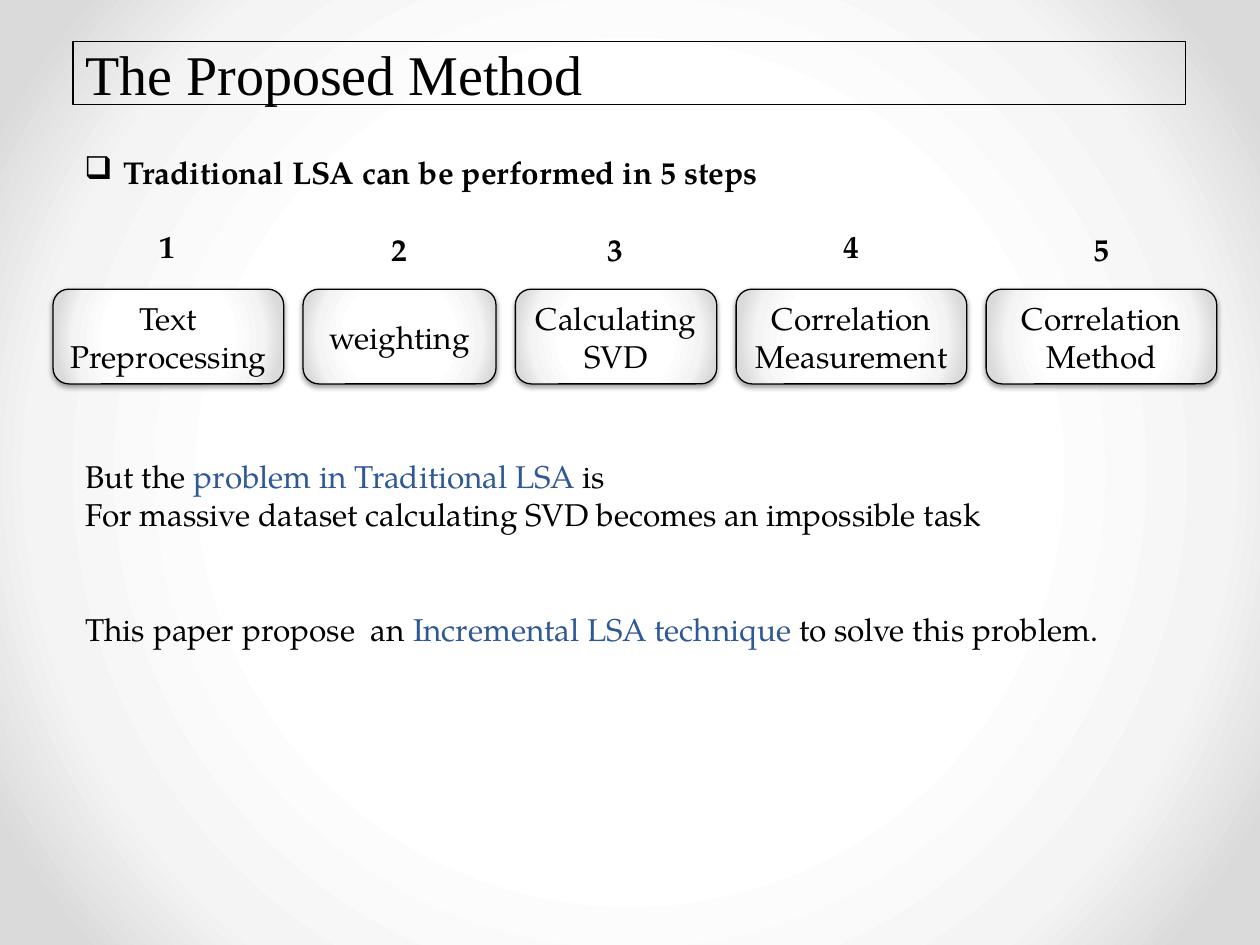
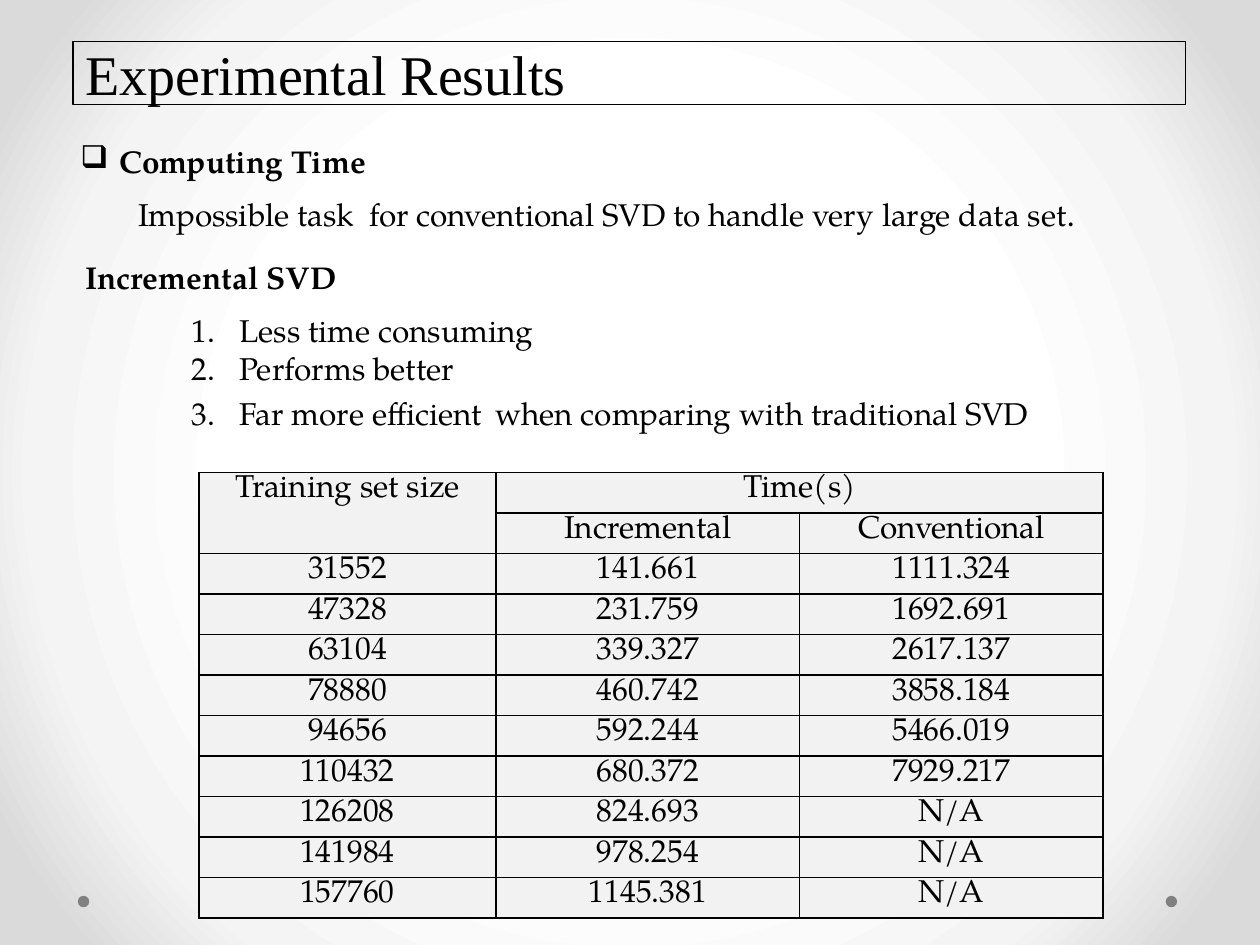
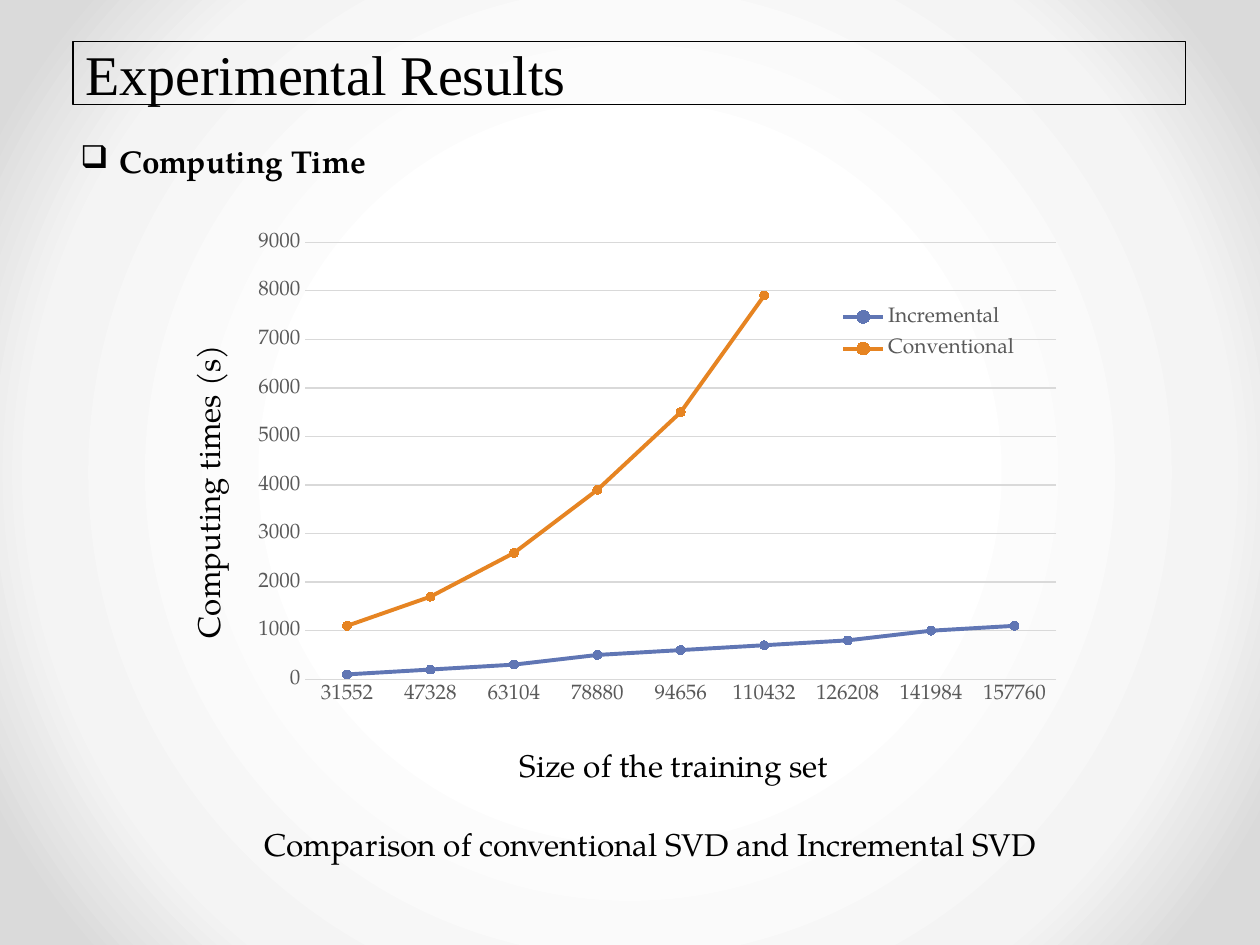
from lxml.etree import SubElement
from pptx import Presentation
from pptx.chart.data import CategoryChartData
from pptx.dml.color import RGBColor
from pptx.enum.chart import XL_CHART_TYPE as ChartType, XL_LEGEND_POSITION as LegendSide
from pptx.enum.chart import XL_MARKER_STYLE as Marker, XL_TICK_MARK as Tick
from pptx.enum.shapes import MSO_SHAPE as Preset
from pptx.enum.text import MSO_ANCHOR as Anchor, MSO_AUTO_SIZE as AutoSize, PP_ALIGN as Align
from pptx.oxml.ns import qn
from pptx.util import Cm, Pt

BLACK = RGBColor(0x00, 0x00, 0x00)
BLUE = RGBColor(0x2F, 0x58, 0x97)
GREY = RGBColor(0x80, 0x80, 0x80)
CELL_GREY = RGBColor(0xF2, 0xF2, 0xF2)
AXIS_TEXT = RGBColor(0x59, 0x59, 0x59)
GRID = RGBColor(0xD9, 0xD9, 0xD9)
SERIES_COLORS = [RGBColor(0x60, 0x76, 0xB4), RGBColor(0xE6, 0x84, 0x22)]

BODY_FONT = "TeX Gyre Pagella"
TITLE_FONT = "Times New Roman"
BULLET = {"tag": "a:buChar", "char": "❑"}

SIZES = [31552, 47328, 63104, 78880, 94656, 110432, 126208, 141984, 157760]
INCREMENTAL = [141.661, 231.759, 339.327, 460.742, 592.244, 680.372, 824.693, 978.254, 1145.381]
CONVENTIONAL = [1111.324, 1692.691, 2617.137, 3858.184, 5466.019, 7929.217, None, None, None]


def radial_fill(owner, fill, white_until=50):
    fill.gradient()
    gradient = owner.element.find(".//" + qn("a:gradFill"))
    for child in list(gradient):
        gradient.remove(child)
    stops = SubElement(gradient, qn("a:gsLst"))
    for position, color in ((white_until, "FFFFFF"), (76, "F4F4F4"), (92, "DADADA")):
        stop = SubElement(stops, qn("a:gs"), pos=str(position * 1000))
        SubElement(stop, qn("a:srgbClr"), val=color)
    circle = SubElement(gradient, qn("a:path"), path="circle")
    SubElement(circle, qn("a:fillToRect"), l="50000", t="50000", r="50000", b="50000")


def soft_shadow(shape):
    shape.shadow.inherit = False
    effects = shape.element.spPr.find(qn("a:effectLst"))
    shadow = SubElement(effects, qn("a:outerShdw"), blurRad="40000", dist="20000",
                        dir="5400000", rotWithShape="0")
    color = SubElement(shadow, qn("a:srgbClr"), val="000000")
    SubElement(color, qn("a:alpha"), val="38000")


def add_bullet(para, indent, tag, **attributes):
    properties = para._p.get_or_add_pPr()
    properties.set("marL", str(Cm(indent)))
    properties.set("indent", str(-Cm(indent)))
    SubElement(properties, qn(tag), **attributes)


def add_borders(cell):
    properties = cell._tc.get_or_add_tcPr()
    for index, side in enumerate(("a:lnL", "a:lnR", "a:lnT", "a:lnB")):
        border = SubElement(properties, qn(side), w=str(Pt(1)))
        fill = SubElement(border, qn("a:solidFill"))
        SubElement(fill, qn("a:srgbClr"), val="000000")
        properties.insert(index, border)


def place(part, index, x, y, width=None, height=None, inner=False):
    previous = part.find(qn("c:layout"))
    if previous is not None:
        part.remove(previous)
    layout = SubElement(part, qn("c:layout"))
    part.insert(index, layout)
    manual = SubElement(layout, qn("c:manualLayout"))
    settings = [("layoutTarget", "inner")] if inner else []
    settings += [("xMode", "edge"), ("yMode", "edge"), ("x", x), ("y", y)]
    if width:
        settings += [("w", width), ("h", height)]
    for name, value in settings:
        SubElement(manual, qn("c:" + name), val=str(value))


class SlideBuilder:
    def __init__(self):
        self.deck = Presentation()
        self.deck.slide_width = Cm(25.4)
        self.deck.slide_height = Cm(19.05)
        self.page = None

    def style(self, font, size=18, color=BLACK, bold=False, name=BODY_FONT):
        font.name = name
        font.size = Pt(size)
        font.bold = bold
        font.color.rgb = color

    def style_frame(self, frame, **look):
        for para in frame.paragraphs:
            for span in para.runs:
                self.style(span.font, **look)

    def new_page(self, title, white_until=50):
        self.page = self.deck.slides.add_slide(self.deck.slide_layouts[6])
        radial_fill(self.page, self.page.background.fill, white_until)
        box = self.page.shapes.add_textbox(Cm(1.47), Cm(0.84), Cm(22.43), Cm(1.27))
        box.line.color.rgb = BLACK
        box.line.width = Pt(1)
        frame = box.text_frame
        frame.word_wrap = True
        frame.vertical_anchor = Anchor.MIDDLE
        frame.text = title
        self.style_frame(frame, size=32, name=TITLE_FONT)

    def text(self, words, left, top, width, height=1.02, bold=False, wrap=False,
             bullet=None, indent=0.97):
        box = self.page.shapes.add_textbox(Cm(left), Cm(top), Cm(width), Cm(height))
        frame = box.text_frame
        frame.word_wrap = wrap
        frame.auto_size = AutoSize.SHAPE_TO_FIT_TEXT
        frame.text = words
        self.style_frame(frame, bold=bold)
        if bullet:
            for para in frame.paragraphs:
                add_bullet(para, indent, **bullet)
        return frame

    def heading(self, words, left, top, width):
        self.text(words, left, top, width, bold=True, bullet=BULLET, indent=0.79)

    def append(self, para, words, **look):
        span = para.add_run()
        span.text = words
        self.style(span.font, **look)

    def step(self, words, left, top, width):
        box = self.page.shapes.add_shape(Preset.ROUNDED_RECTANGLE, Cm(left), Cm(top),
                                         Cm(width), Cm(1.91))
        radial_fill(box, box.fill)
        box.line.color.rgb = BLACK
        box.line.width = Pt(0.75)
        soft_shadow(box)
        frame = box.text_frame
        frame.text = words
        frame.vertical_anchor = Anchor.MIDDLE
        for para in frame.paragraphs:
            para.alignment = Align.CENTER
        self.style_frame(frame)

    def dot(self, left):
        dot = self.page.shapes.add_shape(Preset.OVAL, Cm(left), Cm(18.06), Cm(0.23), Cm(0.23))
        dot.shadow.inherit = False
        dot.fill.solid()
        dot.fill.fore_color.rgb = GREY
        dot.line.fill.background()

    def table(self, rows, merges, left, top, widths, height):
        table = self.page.shapes.add_table(len(rows), len(widths), Cm(left), Cm(top),
                                           Cm(sum(widths)), Cm(height)).table
        table.first_row = table.horz_banding = False
        for column, width in zip(table.columns, widths):
            column.width = Cm(width)
        for row, values in enumerate(rows):
            for column, value in enumerate(values):
                self.fill_cell(table.cell(row, column), value)
        for first, last in merges:
            table.cell(*first).merge(table.cell(*last))

    def fill_cell(self, cell, value):
        cell.fill.solid()
        cell.fill.fore_color.rgb = CELL_GREY
        cell.margin_left = cell.margin_right = Cm(0.18)
        cell.margin_top = cell.margin_bottom = 0
        add_borders(cell)
        if value:
            para = cell.text_frame.paragraphs[0]
            para.text = value
            para.alignment = Align.CENTER
            para.line_spacing = 1.07
            self.style_frame(cell.text_frame)

    def axis_title(self, axis, words, x, y, rotation=0):
        frame = axis.axis_title.text_frame
        frame.text = words
        self.style_frame(frame)
        title = axis.axis_title._element
        body = title.find(".//" + qn("a:bodyPr"))
        body.set("rot", str(rotation * 60000))
        body.set("vert", "horz")
        place(title, 1, x, y)

    def line_chart(self, categories, series, left, top, width, height):
        data = CategoryChartData()
        data.categories = categories
        for name, values in series.items():
            data.add_series(name, values)
        chart = self.page.shapes.add_chart(ChartType.LINE_MARKERS, Cm(left), Cm(top),
                                           Cm(width), Cm(height), data).chart
        self.style(chart.font, size=10)
        chart.has_title = False
        chart.plots[0].vary_by_categories = False
        place(chart.plots[0]._element.getparent(), 0, 0.136, 0.036, 0.842, 0.767, inner=True)
        for line, color in zip(chart.plots[0].series, SERIES_COLORS):
            line.smooth = False
            line.format.line.color.rgb = color
            line.format.line.width = Pt(2.25)
            line.marker.style = Marker.CIRCLE
            line.marker.size = 5
            line.marker.format.fill.solid()
            line.marker.format.fill.fore_color.rgb = color
            line.marker.format.line.color.rgb = color
        for axis in (chart.category_axis, chart.value_axis):
            axis.major_tick_mark = axis.minor_tick_mark = Tick.NONE
            self.style(axis.tick_labels.font, size=12, color=AXIS_TEXT)
        values_axis = chart.value_axis
        values_axis.minimum_scale, values_axis.maximum_scale = 0, 9000
        values_axis.major_unit = 1000
        values_axis.format.line.fill.background()
        for rule in (chart.category_axis.format.line, values_axis.major_gridlines.format.line):
            rule.color.rgb = GRID
            rule.width = Pt(0.75)
        self.axis_title(chart.category_axis, "Size of the training set", 0.37, 0.92)
        self.axis_title(values_axis, "Computing times (s)", 0.005, 0.21, rotation=-90)
        chart.has_legend = True
        chart.legend.position = LegendSide.RIGHT
        chart.legend.include_in_layout = False
        self.style(chart.legend.font, size=12, color=AXIS_TEXT)
        place(chart.legend._element, 1, 0.73, 0.13, 0.21, 0.13)


def build_method(builder):
    builder.new_page("The Proposed Method")
    builder.heading("Traditional LSA can be performed in 5 steps", 1.45, 2.97, 14.68)
    steps = [("Text Preprocessing", 4.65, 4.45), ("weighting", 3.89, 4.52),
             ("Calculating SVD", 4.06, 4.52), ("Correlation Measurement", 4.65, 4.45),
             ("Correlation\nMethod", 4.65, 4.52)]
    left, gap, number_width = 1.07, 0.39, 0.84
    for number, (words, width, number_top) in enumerate(steps, 1):
        builder.step(words, left, 5.83, width)
        builder.text(str(number), left + (width - number_width) / 2, number_top,
                     number_width, bold=True)
        left += width + gap
    frame = builder.text(
        "But the \nFor massive dataset calculating SVD becomes an impossible task\n"
        "This paper propose  an ", 1.47, 9.09, 21.18, 4.11)
    problem, _, proposal = frame.paragraphs
    builder.append(problem, "problem in Traditional LSA ", color=BLUE)
    builder.append(problem, "is")
    builder.append(proposal, "Incremental LSA technique ", color=BLUE)
    builder.append(proposal, "to solve this problem.")
    proposal.space_before = Pt(44)


def build_times_table(builder):
    builder.new_page("Experimental Results")
    for left in (1.57, 23.5):
        builder.dot(left)
    builder.heading("Computing Time", 1.37, 2.74, 6.32)
    builder.text("Impossible task", 2.54, 3.81, 5.11)
    frame = builder.text("for conventional SVD to handle very large data set",
                         7.19, 3.81, 18.2, wrap=True)
    builder.append(frame.paragraphs[0], ".", name="Calibri")
    builder.text("Incremental SVD", 1.47, 5.08, 5.61, bold=True)
    numbered = {"tag": "a:buAutoNum", "type": "arabicPeriod"}
    builder.text("Less time consuming\nPerforms better", 3.61, 6.15, 7.47, 1.8, bullet=numbered)
    builder.text("Far more efficient", 3.61, 7.82, 6.65, bullet={**numbered, "startAt": "3"})
    builder.text("when comparing with traditional SVD", 9.73, 7.82, 11.43)
    rows = [["Training set size", "Time(s)", ""], ["", "Incremental", "Conventional"]]
    for size, fast, slow in zip(SIZES, INCREMENTAL, CONVENTIONAL):
        rows.append([str(size), f"{fast:.3f}", f"{slow:.3f}" if slow else "N/A"])
    builder.table(rows, [((0, 0), (1, 0)), ((0, 1), (0, 2))], 4.01, 9.53,
                  [5.99, 6.12, 6.12], 8.97)


def build_times_chart(builder):
    builder.new_page("Experimental Results", white_until=40)
    builder.heading("Computing Time", 1.37, 2.74, 6.32)
    series = {name: [round(value, -2) if value else None for value in values]
              for name, values in (("Incremental", INCREMENTAL), ("Conventional", CONVENTIONAL))}
    builder.line_chart([str(size) for size in SIZES], series, 3.71, 4.47, 17.98, 11.58)
    builder.text("Comparison of conventional SVD and Incremental SVD", 5.08, 16.51, 16.31)


def main():
    builder = SlideBuilder()
    build_method(builder)
    build_times_table(builder)
    build_times_chart(builder)
    builder.deck.save("out.pptx")


if __name__ == "__main__":
    main()
